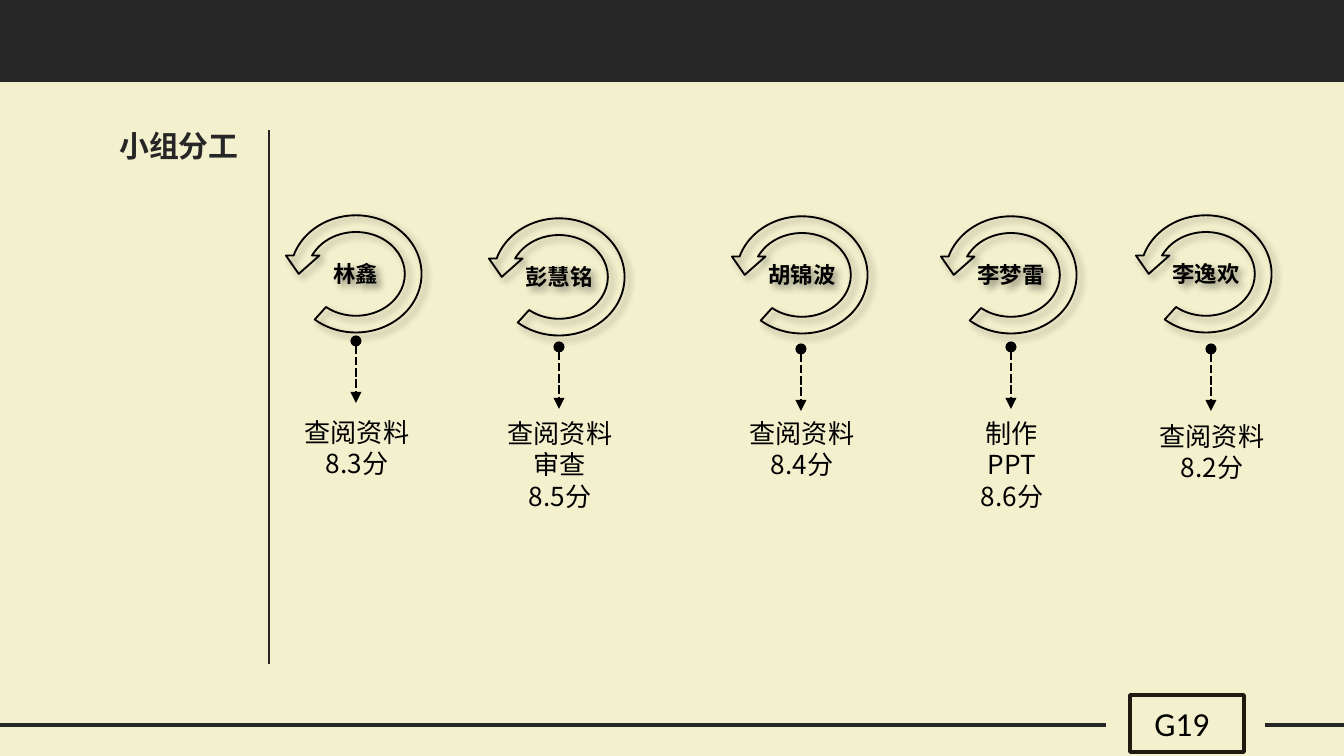
from lxml.etree import SubElement
from pptx import Presentation
from pptx.dml.color import RGBColor
from pptx.enum.dml import MSO_LINE
from pptx.enum.shapes import MSO_CONNECTOR, MSO_SHAPE
from pptx.enum.text import MSO_ANCHOR, PP_ALIGN
from pptx.oxml.ns import qn
from pptx.util import Emu, Pt

EMU_PER_PX = 914400 / 134.4
CREAM, CHARCOAL, BLACK, FRAME = "F3F0CD", "262626", "000000", "1E1C11"
CJK, LATIN = "Noto Sans CJK SC", "Calibri"
RING_ADJUSTMENTS = (0.125, 11.423, 204.577, 28.753, 0.125)
RING_WIDTH, RING_HEIGHT = 148, 134
POINTER_LENGTH = 62

MEMBERS = [
    ("林鑫", (282, 207), (356, 341), 409, 150, ["查阅资料", "8.3分"]),
    ("彭慧铭", (485, 210), (559, 347), 410, 140, ["查阅资料", "审查", "8.5分"]),
    ("胡锦波", (728, 208), (801, 349), 410, 140, ["查阅资料", "8.4分"]),
    ("李梦雷", (937, 208), (1011, 347), 410, 126, ["制作PPT", "8.6分"]),
    ("李逸欢", (1132, 207), (1211, 349), 413, 140, ["查阅资料", "8.2分"]),
]


def px(length):
    return Emu(round(length * EMU_PER_PX))


def rgb(color):
    return RGBColor.from_string(color)


def write(frame, lines, size, color, font=CJK, bold=False,
          align=PP_ALIGN.CENTER, spacing=None):
    frame.word_wrap = True
    frame.text = "\n".join(lines)
    for paragraph in frame.paragraphs:
        paragraph.alignment = align
        if spacing:
            paragraph.line_spacing = Pt(spacing)
        for run in paragraph.runs:
            run.font.size = Pt(size)
            run.font.bold = bold
            run.font.name = font
            run.font.color.rgb = rgb(color)
            SubElement(run.font._element, qn("a:ea"), typeface=font)


def add_label(slide, left, top, width, height, lines, size, color, **style):
    label = slide.shapes.add_textbox(px(left), px(top), px(width), px(height))
    write(label.text_frame, lines, size, color, **style)


def add_outline(slide, kind, left, top, width, height, fill=None, line=None, weight=1):
    shape = slide.shapes.add_shape(kind, px(left), px(top), px(width), px(height))
    shape.shadow.inherit = False
    if fill:
        shape.fill.solid()
        shape.fill.fore_color.rgb = rgb(fill)
    else:
        shape.fill.background()
    if line:
        shape.line.color.rgb = rgb(line)
        shape.line.width = Pt(weight)
    else:
        shape.line.fill.background()
    return shape


def add_rule(slide, x1, y1, x2, y2, color, weight):
    rule = slide.shapes.add_connector(
        MSO_CONNECTOR.STRAIGHT, px(x1), px(y1), px(x2), px(y2))
    rule.line.color.rgb = rgb(color)
    rule.line.width = Pt(weight)
    SubElement(rule.element.spPr, qn("a:effectLst"))
    return rule


def add_pointer(slide, x, y):
    pointer = add_rule(slide, x, y, x, y + POINTER_LENGTH, BLACK, 1.5)
    pointer.line.dash_style = MSO_LINE.SQUARE_DOT
    stroke = pointer.element.spPr.find(qn("a:ln"))
    SubElement(stroke, qn("a:headEnd"), type="oval")
    SubElement(stroke, qn("a:tailEnd"), type="triangle")


def add_shadow(shape):
    effects = shape.element.spPr.find(qn("a:effectLst"))
    shadow = SubElement(effects, qn("a:outerShdw"), blurRad=str(Pt(4)),
                        dist=str(Pt(3)), dir="2700000", algn="tl", rotWithShape="0")
    tint = SubElement(shadow, qn("a:srgbClr"), val=BLACK)
    SubElement(tint, qn("a:alpha"), val="40000")


def add_ring(slide, left, top, name):
    ring = add_outline(slide, MSO_SHAPE.CIRCULAR_ARROW, left, top,
                       RING_WIDTH, RING_HEIGHT, line=BLACK)
    for index, value in enumerate(RING_ADJUSTMENTS):
        ring.adjustments[index] = value
    ring.element.spPr.find(qn("a:xfrm")).set("flipH", "1")
    add_shadow(ring)
    frame = ring.text_frame
    frame.margin_left = frame.margin_right = px(9)
    frame.margin_top = frame.margin_bottom = px(5)
    frame.vertical_anchor = MSO_ANCHOR.MIDDLE
    write(frame, [name], 12, BLACK, bold=True)


def add_member(slide, name, ring, pointer, task_top, task_width, task):
    add_ring(slide, *ring, name)
    add_pointer(slide, *pointer)
    add_label(slide, pointer[0] + 1 - task_width // 2, task_top, task_width,
              13 + 32 * len(task), task, 14, BLACK, spacing=17)


def main():
    deck = Presentation()
    deck.slide_width, deck.slide_height = px(1344), px(756)
    slide = deck.slides.add_slide(deck.slide_layouts[6])
    slide.background.fill.solid()
    slide.background.fill.fore_color.rgb = rgb(CREAM)

    add_outline(slide, MSO_SHAPE.RECTANGLE, 0, 0, 1344, 82, fill=CHARCOAL)
    for start, end in ((0, 1106), (1265, 1344)):
        add_rule(slide, start, 725, end, 725, CHARCOAL, 1.75)
    add_label(slide, 78, 121, 202, 50, ["小组分工"], 16, CHARCOAL, bold=True)
    add_rule(slide, 269, 130, 269, 664, CHARCOAL, 1.25)
    add_outline(slide, MSO_SHAPE.RECTANGLE, 1130, 695, 114, 57, line=FRAME, weight=2)
    add_label(slide, 1141, 696, 92, 54, ["G19"], 18, BLACK, font=LATIN,
              align=PP_ALIGN.LEFT)
    for member in MEMBERS:
        add_member(slide, *member)

    deck.save("out.pptx")


if __name__ == "__main__":
    main()
